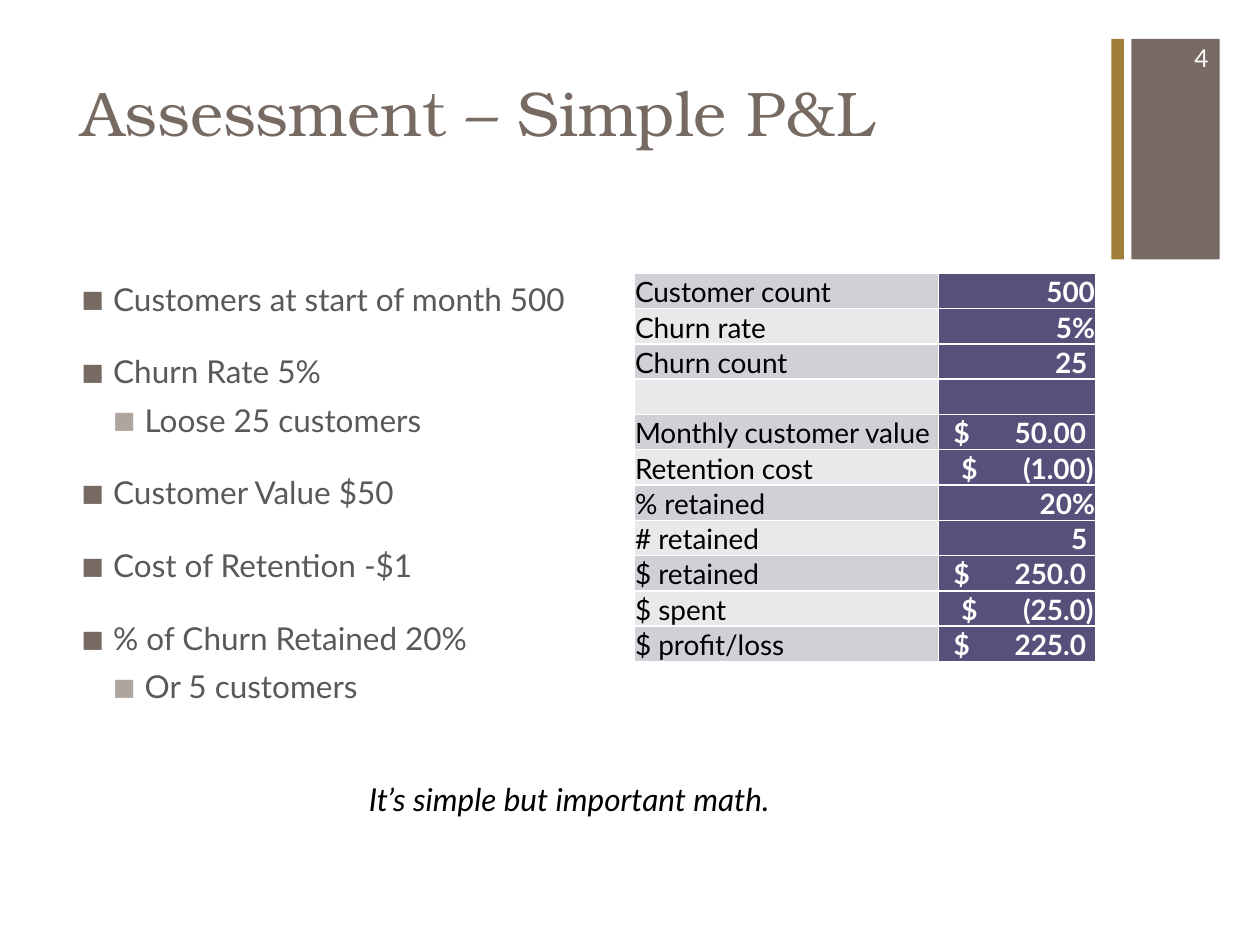
"""Build the slide that assesses a simple profit and loss for customer churn."""
import pptx
import pptx.dml.color
import pptx.enum.shapes
import pptx.enum.text
import pptx.oxml
import pptx.oxml.ns
import pptx.util
import lxml.etree

COLORS = {
    "taupe": "766A62", "gold": "9E7E38", "pale_taupe": "AFA59F", "gray": "595959",
    "purple": "55517B", "band_dark": "D1D0D7", "band_light": "E9E9EC",
    "white": "FFFFFF", "black": "000000",
}
ALIGN = pptx.enum.text.PP_ALIGN
ANCHOR = pptx.enum.text.MSO_ANCHOR
qn = pptx.oxml.ns.qn

deck = pptx.Presentation()
deck.slide_width = pptx.util.Inches(10)
deck.slide_height = pptx.util.Inches(7.5)
page = deck.slides.add_slide(deck.slide_layouts[5])


def frame(left, top, width, height):
    """Turn percentages of the slide's size into lengths."""
    sides = (deck.slide_width, deck.slide_height) * 2
    return [pptx.util.Emu(round(side * share / 100))
            for side, share in zip(sides, (left, top, width, height))]


def add_span(para, text, size, color, face="Lato", bold=False, italic=False):
    """Add one formatted run to a paragraph."""
    span = para.add_run()
    span.text = text
    span.font.name = face
    span.font.size = pptx.util.Pt(size)
    span.font.bold = bold
    span.font.italic = italic
    span.font.color.rgb = pptx.dml.color.RGBColor.from_string(COLORS[color])


for left, width, color in ((89.8, 7, "taupe"), (88.2, 1, "gold")):
    bar = page.shapes.add_shape(pptx.enum.shapes.MSO_SHAPE.RECTANGLE,
                                *frame(left, 4.13, width, 23.33))
    bar.shadow.inherit = False
    bar.fill.solid()
    bar.fill.fore_color.rgb = pptx.dml.color.RGBColor.from_string(COLORS[color])
    bar.line.fill.background()

title = page.shapes.title
title.left, title.top, title.width, title.height = frame(5.5, 7.07, 82.6, 16.27)
title.text_frame.word_wrap = True
title.text_frame.vertical_anchor = ANCHOR.TOP
title_para = title.text_frame.paragraphs[0]
title_para.alignment = ALIGN.LEFT
add_span(title_para, "Assessment – Simple P&L", 36, "taupe", "TeX Gyre Bonum")

points = [
    (0, "Customers at start of month 500"),
    (0, "Churn Rate 5%"),
    (1, "Loose 25 customers"),
    (0, "Customer Value $50"),
    (0, "Cost of Retention -$1"),
    (0, "% of Churn Retained 20%"),
    (1, "Or 5 customers"),
]
bullet_styles = [("taupe", 20), ("pale_taupe", 6)]
body = page.shapes.add_textbox(*frame(5.5, 28.93, 41.5, 60.4)).text_frame
body.word_wrap = True
for index, (level, text) in enumerate(points):
    bullet_color, gap = bullet_styles[level]
    para = body.add_paragraph() if index else body.paragraphs[0]
    para.level = level
    props = para._p.get_or_add_pPr()
    props.set("marL", str(pptx.util.Inches(0.25 * (level + 1))))
    props.set("indent", str(pptx.util.Inches(-0.25)))
    tint = lxml.etree.SubElement(props, qn("a:buClr"))
    lxml.etree.SubElement(tint, qn("a:srgbClr"), val=COLORS[bullet_color])
    lxml.etree.SubElement(props, qn("a:buSzPct"), val="75000")
    lxml.etree.SubElement(props, qn("a:buFont"), typeface="Lato")
    lxml.etree.SubElement(props, qn("a:buChar"), char="■")
    para.space_before = pptx.util.Pt(gap if index else 0)
    add_span(para, text, 18, "gray")

figures = [
    ("Customer count", "500", 0),
    ("Churn rate", "5%", 0),
    ("Churn count", "25", 0.06),
    ("", "", 0),
    ("Monthly customer value", "\t$\t50.00", 0.06),
    ("Retention cost", "\t$\t(1.00)", 0),
    ("% retained", "20%", 0),
    ("# retained", "5", 0.06),
    ("$ retained", "\t$\t250.0", 0.06),
    ("$ spent", "\t$\t(25.0)", 0),
    ("$ profit/loss", "\t$\t225.0", 0.06),
]
table = page.shapes.add_table(len(figures), 2, *frame(50.3, 28.93, 36.7, 41.07)).table
table.columns[0].width = pptx.util.Inches(2.42)
table.columns[1].width = pptx.util.Inches(1.25)
for row, (label, value, inset) in enumerate(figures):
    table.rows[row].height = pptx.util.Inches(0.28)
    band = "E9E9EC" if row % 2 else "D1D0D7"
    band = "band_light" if row % 2 else "band_dark"
    for column, (text, fill, ink) in enumerate(
            ((label, band, "black"), (value, "purple", "white"))):
        cell = table.cell(row, column)
        cell.vertical_anchor = ANCHOR.BOTTOM
        cell.margin_left = cell.margin_right = cell.margin_top = pptx.util.Inches(0.01)
        cell.margin_bottom = 0
        for edge in ("a:lnL", "a:lnR", "a:lnT", "a:lnB"):
            border = lxml.etree.SubElement(cell._tc.get_or_add_tcPr(), qn(edge),
                                           w=str(pptx.util.Pt(1)))
            paint = lxml.etree.SubElement(border, qn("a:solidFill"))
            lxml.etree.SubElement(paint, qn("a:srgbClr"), val=COLORS["white"])
        cell.fill.solid()
        cell.fill.fore_color.rgb = pptx.dml.color.RGBColor.from_string(COLORS[fill])
        para = cell.text_frame.paragraphs[0]
        if not text:
            lxml.etree.SubElement(para._p, qn("a:endParaRPr"), sz="1600")
            continue
        if "\t" in text:
            stops = lxml.etree.SubElement(para._p.get_or_add_pPr(), qn("a:tabLst"))
            for position, side in ((0.17 - inset, "l"), (1.22 - inset, "r")):
                lxml.etree.SubElement(stops, qn("a:tab"), algn=side,
                                      pos=str(pptx.util.Inches(position)))
        elif column:
            para.alignment = ALIGN.RIGHT
            para._p.get_or_add_pPr().set("marR", str(pptx.util.Inches(inset)))
        add_span(para, text, 16, ink, bold=column == 1)

number = page.shapes.add_textbox(*frame(90.8, 3.47, 6.1, 5.33)).text_frame
number.word_wrap = True
number.vertical_anchor = ANCHOR.MIDDLE
number.paragraphs[0].alignment = ALIGN.RIGHT
add_span(number.paragraphs[0], "4", 14, "white")

remark = page.shapes.add_textbox(*frame(28.3, 81.87, 37.3, 5.33)).text_frame
remark.word_wrap = True
remark.auto_size = pptx.enum.text.MSO_AUTO_SIZE.SHAPE_TO_FIT_TEXT
add_span(remark.paragraphs[0], "It’s simple but important math.", 18, "black", italic=True)

deck.save("out.pptx")
